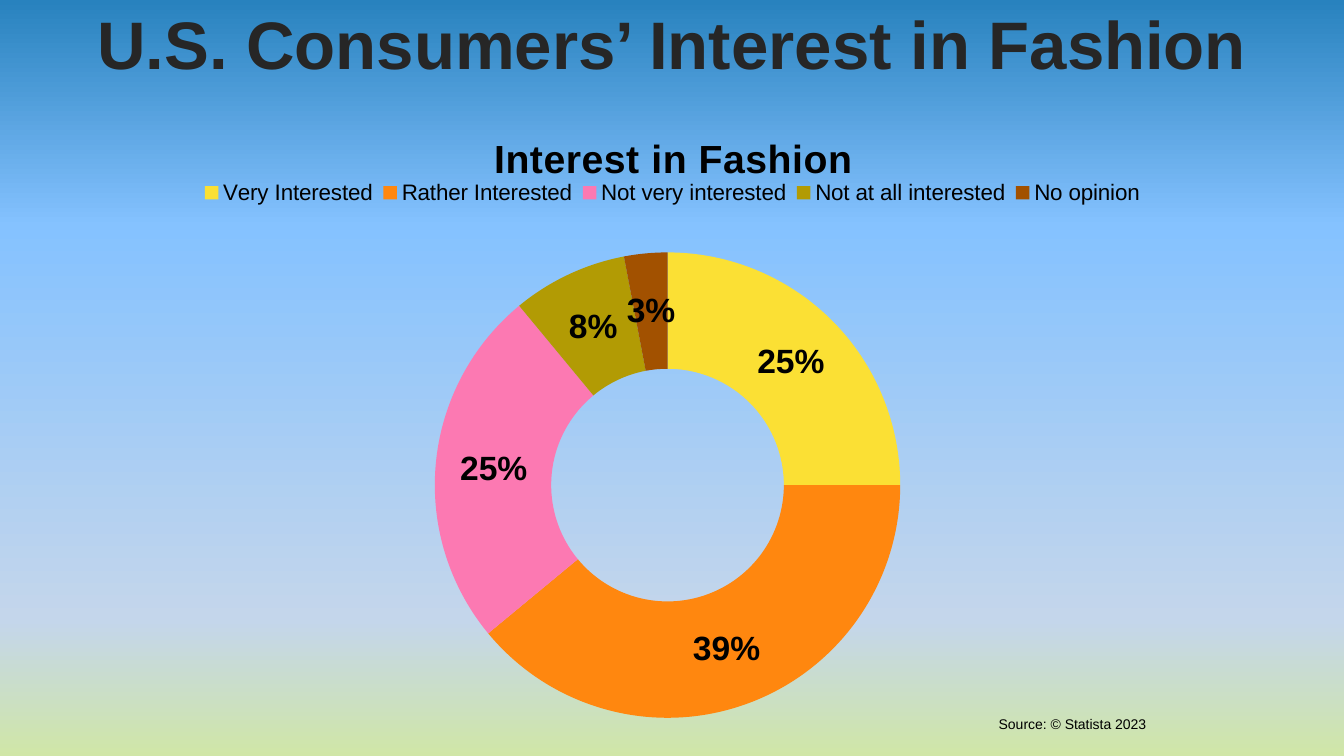
from lxml.etree import SubElement
from pptx import Presentation
from pptx.chart.data import CategoryChartData
from pptx.dml.color import RGBColor
from pptx.enum.chart import XL_CHART_TYPE, XL_LEGEND_POSITION
from pptx.enum.text import MSO_ANCHOR, MSO_AUTO_SIZE, PP_ALIGN
from pptx.oxml import parse_xml
from pptx.oxml.ns import nsdecls, qn
from pptx.util import Pt

FONT = "Arial"
SKY_STOPS = [(0, "2882BE"), (30, "85C2FF"), (82, "C4D6EB"), (100, "D0E6A7")]
INTEREST = [
    ("Very Interested", 25, "FBE034"),
    ("Rather Interested", 39, "FF870F"),
    ("Not very interested", 25, "FC79B2"),
    ("Not at all interested", 8, "B29B04"),
    ("No opinion", 3, "A25100"),
]


def color(hex_string):
    return RGBColor.from_string(hex_string)


def style(font, size, hex_string="000000", bold=False):
    font.name = FONT
    font.size = Pt(size)
    font.bold = bold
    font.color.rgb = color(hex_string)


def paint_background(slide):
    fill = slide.background.fill
    fill.gradient()
    fill.gradient_angle = 270
    stops = slide.background._cSld.find(".//" + qn("a:gsLst"))
    for stop in list(stops):
        stops.remove(stop)
    for percent, hex_string in SKY_STOPS:
        stops.append(parse_xml(
            f'<a:gs {nsdecls("a")} pos="{percent * 1000}">'
            f'<a:srgbClr val="{hex_string}"/></a:gs>'))


def add_heading(slide, left, top, width, height):
    heading = slide.shapes.title
    heading.left, heading.top = Pt(left), Pt(top)
    heading.width, heading.height = Pt(width), Pt(height)
    frame = heading.text_frame
    frame.word_wrap = True
    frame.auto_size = MSO_AUTO_SIZE.NONE
    frame.vertical_anchor = MSO_ANCHOR.MIDDLE
    line = frame.paragraphs[0]
    line.alignment = PP_ALIGN.CENTER
    line.line_spacing = 0.9
    line.space_before = Pt(0)
    run = line.add_run()
    run.text = "U.S. Consumers’ Interest in Fashion"
    style(run.font, 48, "262626", bold=True)


def set_layout(part, follower, inner=False, **fractions):
    """Place a chart part by fractions of the chart, ahead of its follower element."""
    for old in part.findall(qn("c:layout")):
        part.remove(old)
    layout = parse_xml(f'<c:layout {nsdecls("c")}><c:manualLayout/></c:layout>')
    manual = layout[0]
    if inner:
        SubElement(manual, qn("c:layoutTarget"), val="inner")
    for axis in "xy":
        SubElement(manual, qn(f"c:{axis}Mode"), val="edge")
    for name, fraction in fractions.items():
        SubElement(manual, qn(f"c:{name}"), val=str(fraction))
    part.find(qn(follower)).addprevious(layout)


def add_interest_chart(slide, left, top, width, height):
    data = CategoryChartData()
    data.categories = [answer for answer, _, _ in INTEREST]
    data.add_series("Series 1", [share for _, share, _ in INTEREST])
    chart = slide.shapes.add_chart(
        XL_CHART_TYPE.DOUGHNUT, Pt(left), Pt(top), Pt(width), Pt(height), data).chart
    style(chart.font, 10)

    chart.has_title = True
    caption = chart.chart_title.text_frame.paragraphs[0].add_run()
    caption.text = "Interest in Fashion"
    style(caption.font, 28, bold=True)
    caption._r.get_or_add_rPr().set("spc", "50")
    set_layout(chart.chart_title._element, "c:overlay", x=0.31, y=0.03)

    chart.has_legend = True
    legend = chart.legend
    legend.position = XL_LEGEND_POSITION.TOP
    legend.include_in_layout = False
    style(legend.font, 16)
    set_layout(legend._element, "c:overlay", x=0.01, y=0.1, w=0.98, h=0.07)

    ring = chart.plots[0]
    ring.vary_by_categories = True
    ring._element.find(qn("c:holeSize")).set("val", "50")
    set_layout(ring._element.getparent(), "c:doughnutChart", inner=True,
               x=0.25, y=0.23, w=0.49, h=0.74)

    series = ring.series[0]
    for index, (_, _, hex_string) in enumerate(INTEREST):
        slice_format = series.points[index].format
        slice_format.fill.solid()
        slice_format.fill.fore_color.rgb = color(hex_string)
        slice_format.line.fill.background()
    labels = series.data_labels
    labels.show_value = False
    labels.show_percentage = True
    labels.number_format = "0%"
    labels.number_format_is_linked = False
    style(labels.font, 24, bold=True)


def add_source(slide, left, top, width, height):
    frame = slide.shapes.add_textbox(
        Pt(left), Pt(top), Pt(width), Pt(height)).text_frame
    frame.word_wrap = True
    run = frame.paragraphs[0].add_run()
    run.text = "Source: © Statista 2023"
    style(run.font, 10)


def main():
    deck = Presentation()
    deck.slide_width, deck.slide_height = Pt(960), Pt(540)
    slide = deck.slides.add_slide(deck.slide_layouts[5])
    paint_background(slide)
    add_interest_chart(slide, 131.8, 77, 697, 449.3)
    add_source(slide, 706.3, 507.6, 124.6, 19.4)
    add_heading(slide, 24.5, 5.8, 911.5, 56.9)
    deck.save("out.pptx")


if __name__ == "__main__":
    main()
